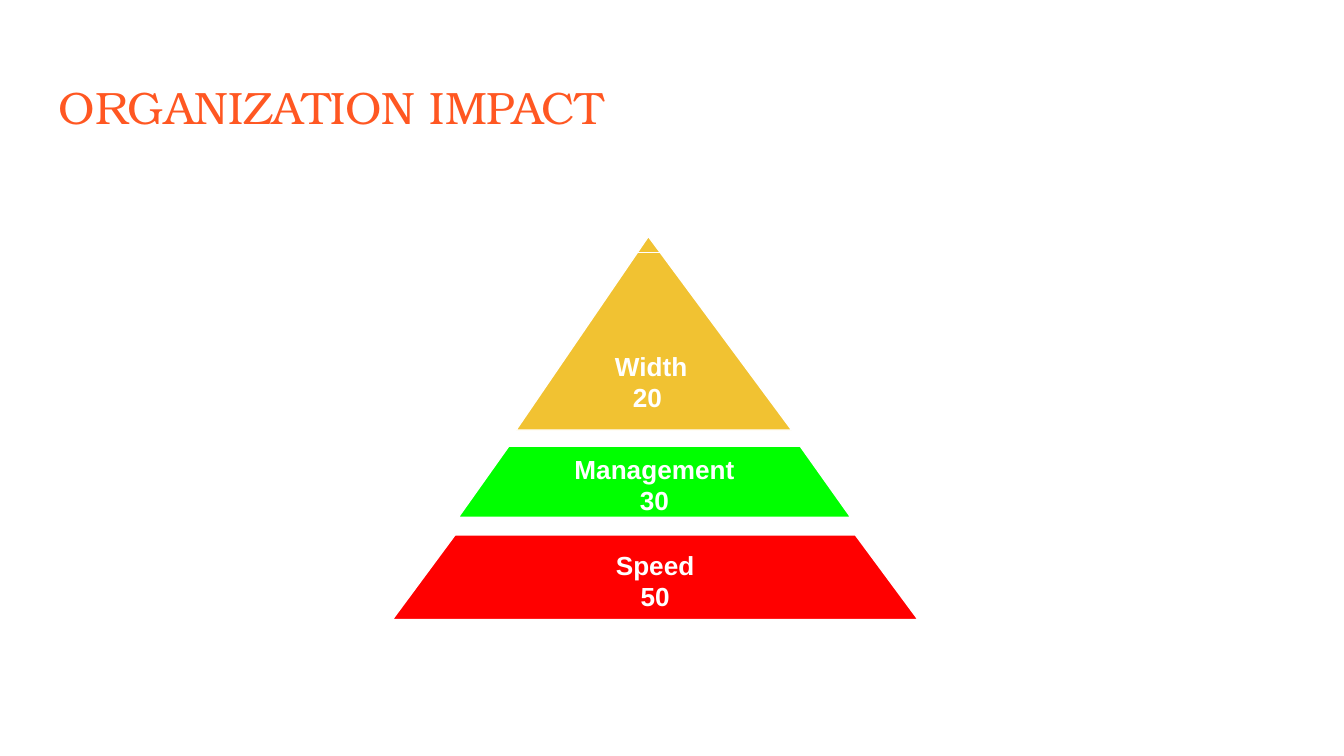
from pptx import Presentation
from pptx.dml.color import RGBColor
from pptx.enum.shapes import MSO_SHAPE
from pptx.enum.text import MSO_ANCHOR, PP_ALIGN
from pptx.util import Inches, Pt

TRIANGLE, TRAPEZOID = MSO_SHAPE.ISOSCELES_TRIANGLE, MSO_SHAPE.TRAPEZOID
RECTANGLE = MSO_SHAPE.RECTANGLE
TOP, MIDDLE = MSO_ANCHOR.TOP, MSO_ANCHOR.MIDDLE
LEFT, CENTER = PP_ALIGN.LEFT, PP_ALIGN.CENTER
SLIDE_WIDTH = Inches(10)
SLIDE_HEIGHT = SLIDE_WIDTH * 9 // 16

# Content
TITLE = "ORGANIZATION IMPACT"
WHITE = "FFFFFF"
# Pyramid levels: lines, fill, shape, adjustment, (left, top, width, height)
LEVELS = [
    (["Width", "20 "], "F1C232", TRIANGLE, 0.48, (3.84, 1.76, 2.05, 1.44)),
    (["Management", "30"], "00FF00", TRAPEZOID, 0.71, (3.41, 3.32, 2.92, 0.53)),
    (["Speed", "50"], "FF0000", TRAPEZOID, 0.74, (2.92, 3.98, 3.91, 0.63)),
]
APEX_FRAME = (3.7, 1.21, 2.6, 0.67)


def color(value):
    return RGBColor.from_string(value)


def write(tf, lines, font, size, ink, bold, align, anchor):
    tf.word_wrap = True
    tf.vertical_anchor = anchor
    tf.margin_left = tf.margin_right = Inches(0.1)
    tf.margin_top = tf.margin_bottom = Inches(0.1)
    for i, line in enumerate(lines):
        p = tf.add_paragraph() if i else tf.paragraphs[0]
        p.alignment = align
        r = p.add_run()
        r.text = line
        r.font.name, r.font.size, r.font.bold = font, Pt(size), bold
        r.font.color.rgb = color(ink)


def add_outlined(s, kind, box, fill=None):
    sp = s.shapes.add_shape(kind, *map(Inches, box))
    sp.shadow.inherit = False
    if fill:
        sp.fill.solid()
        sp.fill.fore_color.rgb = color(fill)
    else:
        sp.fill.background()
    sp.line.color.rgb = color(WHITE)
    sp.line.width = Pt(0.75)
    return sp


prs = Presentation()
prs.slide_width, prs.slide_height = SLIDE_WIDTH, SLIDE_HEIGHT
s = prs.slides.add_slide(prs.slide_layouts[6])

# Title
title = s.shapes.add_textbox(*map(Inches, (0.34, 0.49, 9.32, 0.63)))
write(title.text_frame, [TITLE], "TeX Gyre Bonum", 24.3, "FF5722", False, LEFT, TOP)

# Pyramid
for lines, fill, kind, adjustment, box in LEVELS:
    level = add_outlined(s, kind, box, fill)
    level.adjustments[0] = adjustment
    write(level.text_frame, lines, "Arial", 14, WHITE, True, CENTER, MIDDLE)

# Frame whose lower edge crosses the apex
add_outlined(s, RECTANGLE, APEX_FRAME)

prs.save("out.pptx")
